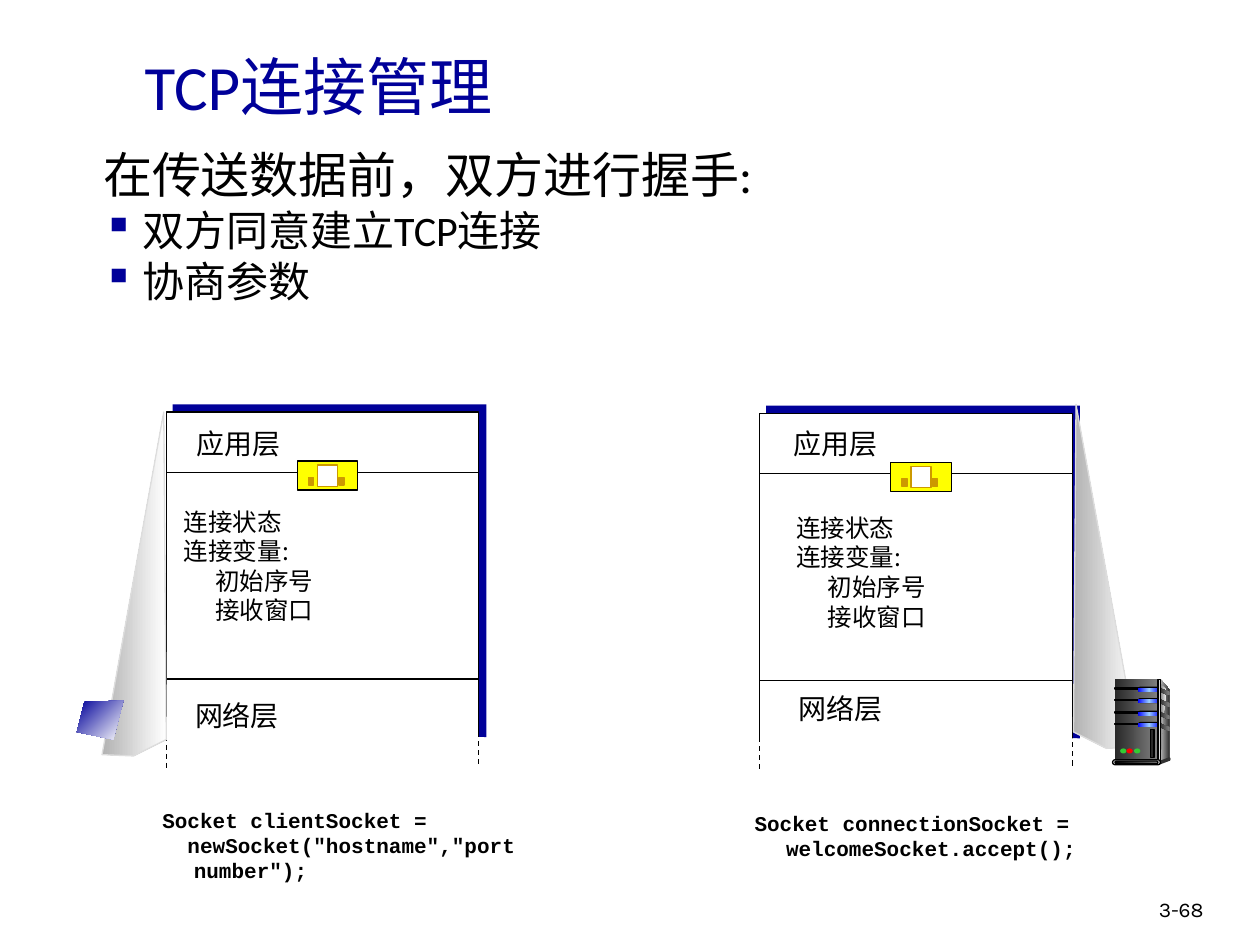
from typing import NamedTuple

from lxml import etree
from pptx import Presentation
from pptx.dml.color import RGBColor
from pptx.enum.dml import MSO_LINE
from pptx.enum.shapes import MSO_CONNECTOR, MSO_SHAPE
from pptx.enum.text import MSO_ANCHOR, PP_ALIGN
from pptx.oxml.ns import qn
from pptx.util import Emu, Pt

PX = 9144  # 100 px to the inch
RECT, ROUND, OVAL = MSO_SHAPE.RECTANGLE, MSO_SHAPE.ROUNDED_RECTANGLE, MSO_SHAPE.OVAL
STRAIGHT, DASH = MSO_CONNECTOR.STRAIGHT, MSO_LINE.DASH
CENTER, MIDDLE = PP_ALIGN.CENTER, MSO_ANCHOR.MIDDLE

BLACK, WHITE = RGBColor(0, 0, 0), RGBColor(255, 255, 255)
NAVY = RGBColor(0, 0, 0x99)
YELLOW, GOLD = RGBColor(255, 255, 0), RGBColor(0xCC, 0x99, 0)
COAL, DARK = RGBColor(0x29, 0x29, 0x29), RGBColor(0x33, 0x33, 0x33)
GRAY, SILVER = RGBColor(0x80, 0x80, 0x80), RGBColor(0xB2, 0xB2, 0xB2)
PALE, SNOW = RGBColor(0xDD, 0xDD, 0xDD), RGBColor(0xF8, 0xF8, 0xF8)
BLUE, SKY = RGBColor(0, 0, 255), RGBColor(0x99, 0xCC, 0xFF)
GREEN, RED = RGBColor(0x33, 0xCC, 0x33), RGBColor(255, 0, 0)

LATIN, HAN, CODE, PAGE = "Calibri", "Noto Sans CJK SC", "Courier New", "Karla"


class Box(NamedTuple):
    x: int
    y: int
    w: int
    h: int


class Run(NamedTuple):
    text: str
    size: int
    face: str = HAN
    color: RGBColor = BLACK
    bold: bool = False


class Para(NamedTuple):
    runs: list[Run]
    left: int = 0
    hang: int = 0
    bullet: bool = False
    space: float | Pt | None = None
    before: float = 0


class Host(NamedTuple):
    x: int
    y: int
    app: Box
    state: Box
    net: Box
    code: Box
    lines: list[str]


def paint(shape, fills: list, edge=None, angle=0) -> None:
    """One fill colour is solid; more make an even gradient."""
    shape.shadow.inherit = False
    if len(fills) == 1:
        shape.fill.solid()
        shape.fill.fore_color.rgb = fills[0]
    else:
        shape.fill.gradient()
        shape.fill.gradient_angle = (360 - angle) % 360
        stops = shape._element.spPr.find(".//" + qn("a:gsLst"))
        for old in list(stops):
            stops.remove(old)
        for i, color in enumerate(fills):
            place = str(100000 * i // (len(fills) - 1))
            stop = etree.SubElement(stops, qn("a:gs"), pos=place)
            etree.SubElement(stop, qn("a:srgbClr"), val=str(color))
    if edge is None:
        shape.line.fill.background()
    else:
        shape.line.color.rgb = edge
        shape.line.width = Pt(0.75)


def block(pen, kind, box: Box, fills: list, edge=None) -> None:
    shape = pen.add_shape(kind, *(v * PX for v in box))
    if kind == ROUND:
        shape.adjustments[0] = 0.5
    paint(shape, fills, edge)


def outline(pen, points: list, fills: list, edge=None, angle=0) -> None:
    path = pen.build_freeform(*points[0], scale=PX)
    path.add_line_segments(points[1:], close=True)
    paint(path.convert_to_shape(), fills, edge, angle)


def rule(pen, x1: int, y1: int, x2: int, y2: int, dash=None) -> None:
    line = pen.add_connector(STRAIGHT, *(v * PX for v in (x1, y1, x2, y2)))
    line.line.color.rgb = BLACK
    line.line.width = Pt(0.75)
    line.line.dash_style = dash
    etree.SubElement(line._element.spPr, qn("a:effectLst"))


def write(pen, box: Box, paras: list[Para], wrap=True, align=None, anchor=None) -> None:
    frame = pen.add_textbox(*(v * PX for v in box)).text_frame
    frame.word_wrap = wrap
    frame.vertical_anchor = anchor
    for i, item in enumerate(paras):
        para = frame.add_paragraph() if i else frame.paragraphs[0]
        props = para._p.get_or_add_pPr()
        props.set("marL", str(item.left * PX))
        props.set("indent", str(item.hang * PX))
        if item.bullet:
            tint = etree.SubElement(props, qn("a:buClr"))
            etree.SubElement(tint, qn("a:srgbClr"), val=str(NAVY))
            etree.SubElement(props, qn("a:buChar"), char="▪")
        para.alignment = align
        para.line_spacing = item.space
        if item.before:
            para.space_before = Pt(item.before)
        for part in item.runs:
            run = para.add_run()
            run.text = part.text
            font = run.font
            font.size, font.name, font.bold = Pt(part.size), part.face, part.bold
            font.color.rgb = part.color
            etree.SubElement(run._r.get_or_add_rPr(), qn("a:ea"), typeface=part.face)


def socket(pen, x: int, y: int) -> None:
    block(pen, RECT, Box(x, y, 48, 23), [YELLOW], BLACK)
    block(pen, RECT, Box(x + 16, y + 3, 16, 17), [WHITE], GOLD)
    for dx in (33, 9):
        block(pen, RECT, Box(x + dx, y + 13, 4, 6), [GOLD], GOLD)


def stack(pen, host: Host) -> None:
    """Draw the layers of one host, with its labels and code."""
    x, y = host.x, host.y
    block(pen, RECT, Box(x + 5, y - 6, 249, 264), [NAVY])
    block(pen, RECT, Box(x, y, 248, 270), [WHITE], BLACK)
    for dy in (48, 212):
        rule(pen, x, y + dy, x + 248, y + dy)
    socket(pen.add_group_shape().shapes, x + 104, y + 39)
    block(pen, RECT, Box(x - 3, y + 258, 255, 20), [WHITE])
    for dx, dy in ((0, 257), (248, 254)):
        rule(pen, x + dx, y + dy, x + dx, y + dy + 26, DASH)
    for box, name in ((host.app, "应用层"), (host.net, "网络层")):
        write(pen, box, [Para([Run(name, 16)], space=Pt(19.4))], False, CENTER)
    state = (("连接状态", 0), ("连接变量:", 0), ("初始序号", 25), ("接收窗口", 25))
    write(pen, host.state, [Para([Run(t, 14)], left, space=Pt(16.9)) for t, left in state])
    write(pen, host.code, [Para([Run(t, 12, CODE, bold=True)], 25, -25) for t in host.lines])


def server(pen) -> None:
    outline(pen, [(921, 539), (928, 547), (928, 601), (919, 604)], [PALE, DARK])
    block(pen, RECT, Box(885, 539, 34, 65), [COAL, GRAY])
    outline(pen, [(921, 543), (926, 548), (923, 570), (921, 602)], [GRAY, SNOW])
    for y in (546, 555, 565, 574):
        block(pen, RECT, Box(885, y, 19, 1), [BLACK], BLACK)
        block(pen, ROUND, Box(903, y - 1, 19, 4), [BLACK])
        block(pen, ROUND, Box(903, y, 18, 3), [BLUE, SKY, BLUE])
        outline(pen, [(920, y), (928, y + 3), (928, y + 6), (920, y + 3)], [COAL, GRAY])
    block(pen, RECT, Box(919, 539, 2, 65), [DARK, PALE, DARK], BLACK)
    block(pen, OVAL, Box(927, 601, 2, 3), [DARK])
    outline(pen, [(920, 604), (920, 607), (928, 604), (928, 601)], [DARK])
    block(pen, ROUND, Box(883, 603, 38, 4), [PALE], BLACK)
    block(pen, ROUND, Box(885, 604, 34, 2), [BLACK, GRAY], BLACK)
    for x, color in ((889, GREEN), (894, RED), (900, GREEN)):
        block(pen, OVAL, Box(x, 594, 5, 4), [color])
    block(pen, RECT, Box(913, 579, 3, 22), [COAL], BLACK)


def main() -> None:
    deck = Presentation()
    deck.slide_width, deck.slide_height = Emu(1000 * PX), Emu(750 * PX)
    pen = deck.slides.add_slide(deck.slide_layouts[6]).shapes

    title = [Run("TCP", 36, LATIN, NAVY), Run("连接管理", 36, HAN, NAVY)]
    write(pen, Box(105, 14, 850, 100), [Para(title, space=Pt(48))], anchor=MIDDLE)
    body = [Para([Run("在传送数据前，双方进行握手:", 28, LATIN)], 31, -31, space=0.85)]
    for text in ("双方同意建立TCP连接", "协商参数"):
        body.append(Para([Run(text, 24, LATIN)], 31, -31, True, 0.85, 4.8))
    write(pen, Box(72, 117, 912, 239), body)

    hosts = [
        Host(132, 327, Box(145, 333, 88, 37), Box(136, 397, 255, 151),
             Box(144, 549, 88, 37), Box(119, 636, 316, 70),
             ["Socket clientSocket =", '  newSocket("hostname","port number");']),
        Host(603, 328, Box(619, 333, 88, 37), Box(622, 402, 255, 151),
             Box(623, 544, 88, 37), Box(589, 638, 316, 50),
             ["Socket connectionSocket = welcomeSocket.accept();"]),
    ]
    for host in hosts:
        stack(pen, host)

    beam = [(81, 599), (130, 327), (132, 587), (106, 600)]
    outline(pen, beam, [SILVER, WHITE], PALE)
    outline(pen, [(984 - x, y - 6) for x, y in beam], [SILVER, WHITE], PALE)
    screen = [(98, 556), (67, 557), (61, 581), (90, 587)]
    outline(pen, screen, [NAVY, WHITE], angle=45)
    server(pen.add_group_shape().shapes)
    write(pen, Box(910, 707, 74, 30), [Para([Run("3-68", 12, PAGE)])])
    deck.save("out.pptx")


if __name__ == "__main__":
    main()
